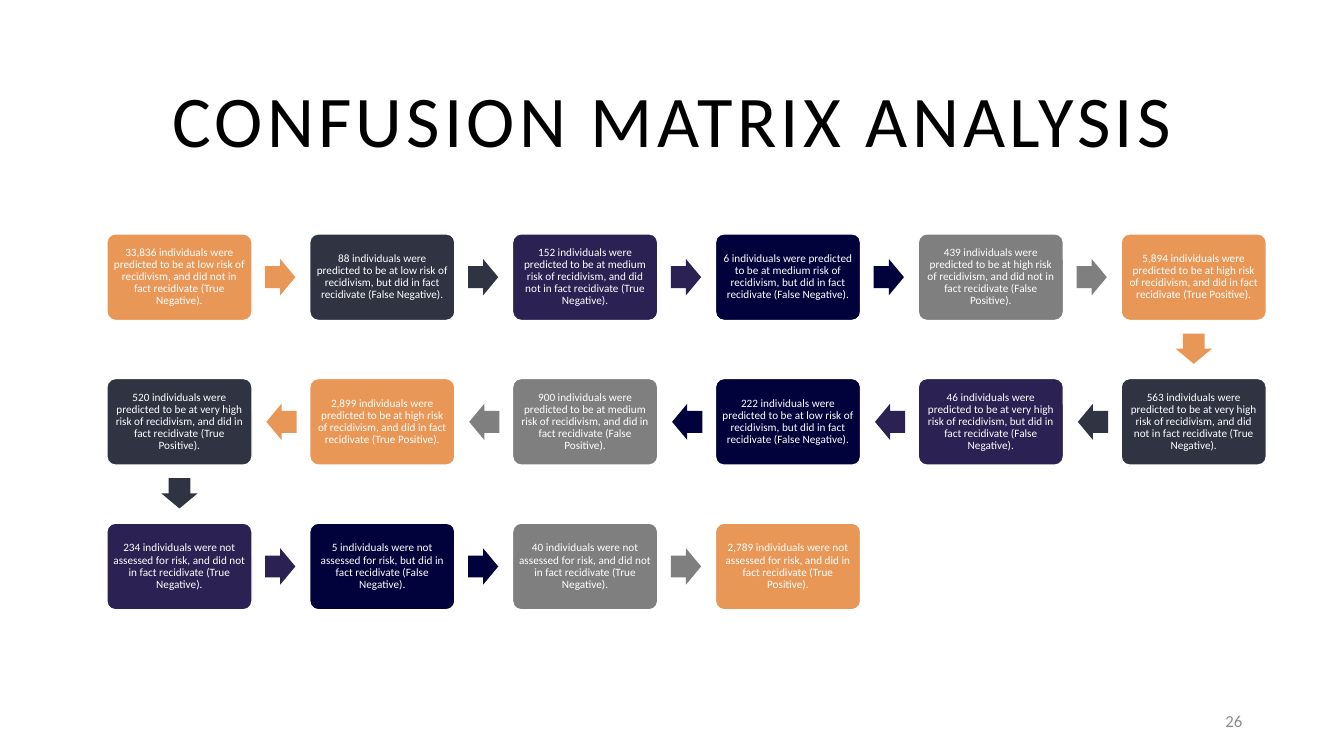
import pptx
import pptx.util
import pptx.dml.color
import pptx.enum.shapes
import pptx.enum.text

Inches = pptx.util.Inches
Pt = pptx.util.Pt
ALIGN = pptx.enum.text.PP_ALIGN
SHAPE = pptx.enum.shapes.MSO_SHAPE

TITLE = "CONFUSION MATRIX ANALYSIS"
PAGE_NUMBER = "26"
FINDINGS = [
    "33,836 individuals were predicted to be at low risk of recidivism, and did not in fact recidivate (True Negative).",
    "88 individuals were predicted to be at low risk of recidivism, but did in fact recidivate (False Negative).",
    "152 individuals were predicted to be at medium risk of recidivism, and did not in fact recidivate (True Negative).",
    "6 individuals were predicted to be at medium risk of recidivism, but did in fact recidivate (False Negative).",
    "439 individuals were predicted to be at high risk of recidivism, and did not in fact recidivate (False Positive).",
    "5,894 individuals were predicted to be at high risk of recidivism, and did in fact recidivate (True Positive).",
    "563 individuals were predicted to be at very high risk of recidivism, and did not in fact recidivate (True Negative).",
    "46 individuals were predicted to be at very high risk of recidivism, but did in fact recidivate (False Negative).",
    "222 individuals were predicted to be at low risk of recidivism, but did in fact recidivate (False Negative).",
    "900 individuals were predicted to be at medium risk of recidivism, and did in fact recidivate (False Positive).",
    "2,899 individuals were predicted to be at high risk of recidivism, and did in fact recidivate (True Positive).",
    "520 individuals were predicted to be at very high risk of recidivism, and did in fact recidivate (True Positive).",
    "234 individuals were not assessed for risk, and did not in fact recidivate (True Negative).",
    "5 individuals were not assessed for risk, but did in fact recidivate (False Negative).",
    "40 individuals were not assessed for risk, and did not in fact recidivate (True Negative).",
    "2,789 individuals were not assessed for risk, and did in fact recidivate (True Positive).",
]
THEME = {
    "font": "Calibri",
    "title_size": 52,
    "number_size": 12,
    "card_size": 8,
    "title": "000000",
    "number": "8C8C8C",
    "light": "FFFFFF",
    "cards": ["E99757", "2F3342", "2C2153", "01023B", "7F7F7F"],
}

COLUMNS = 6
FIRST_LEFT, LAST_LEFT = 1.06, 11.12
FIRST_TOP, LAST_TOP = 2.32, 5.19
CARD_WIDTH, CARD_HEIGHT = 1.44, 0.86
ARROW_WIDTH, ARROW_HEIGHT = 0.3, 0.36
ARROW_REACH, ARROW_DROP = 1.0, 0.71
CARD_INSET = 0.03


def rgb(value):
    return pptx.dml.color.RGBColor.from_string(value)


def write(shape, text, size, color, alignment, line_spacing=1.0, space_after=0):
    frame = shape.text_frame
    frame.word_wrap = True
    frame.vertical_anchor = pptx.enum.text.MSO_ANCHOR.MIDDLE
    paragraph = frame.paragraphs[0]
    paragraph.text = text
    paragraph.alignment = alignment
    paragraph.line_spacing = line_spacing
    paragraph.space_after = Pt(space_after)
    paragraph.font.name = THEME["font"]
    paragraph.font.size = Pt(size)
    paragraph.font.color.rgb = rgb(color)
    return paragraph


def add_filled(slide, kind, left, top, width, height, color, adjustments):
    shape = slide.shapes.add_shape(kind, Inches(left), Inches(top), Inches(width), Inches(height))
    for index, value in enumerate(adjustments):
        shape.adjustments[index] = value
    shape.shadow.inherit = False
    shape.fill.solid()
    shape.fill.fore_color.rgb = rgb(color)
    shape.line.fill.background()
    return shape


def card_position(index):
    row, step = divmod(index, COLUMNS)
    column = step if row % 2 == 0 else COLUMNS - 1 - step
    rows = -(-len(FINDINGS) // COLUMNS)
    left = FIRST_LEFT + column * (LAST_LEFT - FIRST_LEFT) / (COLUMNS - 1)
    top = FIRST_TOP + row * (LAST_TOP - FIRST_TOP) / (rows - 1)
    return left, top


def add_card(slide, index, text, color):
    left, top = card_position(index)
    card = add_filled(slide, SHAPE.ROUNDED_RECTANGLE, left, top, CARD_WIDTH, CARD_HEIGHT, color, [0.1])
    card.line.color.rgb = rgb(THEME["light"])
    card.line.width = Pt(1)
    frame = card.text_frame
    frame.margin_left = frame.margin_right = Inches(CARD_INSET)
    frame.margin_top = frame.margin_bottom = Inches(CARD_INSET)
    write(card, text, THEME["card_size"], THEME["light"], ALIGN.CENTER, 0.9, 2.8)


def add_arrow(slide, index, color):
    row, step = divmod(index, COLUMNS)
    if step == COLUMNS - 1:
        across, down, rotation = 0, ARROW_DROP, 90
    elif row % 2 == 0:
        across, down, rotation = ARROW_REACH, 0, 0
    else:
        across, down, rotation = -ARROW_REACH, 0, 180
    card_left, card_top = card_position(index)
    left = card_left + (CARD_WIDTH - ARROW_WIDTH) / 2 + across
    top = card_top + (CARD_HEIGHT - ARROW_HEIGHT) / 2 + down
    arrow = add_filled(slide, SHAPE.RIGHT_ARROW, left, top, ARROW_WIDTH, ARROW_HEIGHT, color, [0.6, 0.5])
    arrow.rotation = rotation


def main():
    presentation = pptx.Presentation()
    presentation.slide_width = Inches(13.33)
    presentation.slide_height = Inches(7.5)
    slide = presentation.slides.add_slide(presentation.slide_layouts[6])

    title = slide.shapes.add_textbox(Inches(0.92), Inches(0.61), Inches(11.5), Inches(1.24))
    paragraph = write(title, TITLE, THEME["title_size"], THEME["title"], ALIGN.CENTER, 0.9)
    paragraph.runs[0].font._element.set("spc", "300")

    number = slide.shapes.add_textbox(Inches(9.42), Inches(6.95), Inches(3), Inches(0.4))
    write(number, PAGE_NUMBER, THEME["number_size"], THEME["number"], ALIGN.RIGHT, space_after=6)

    for index, text in enumerate(FINDINGS):
        color = THEME["cards"][index % len(THEME["cards"])]
        add_card(slide, index, text, color)
        if index < len(FINDINGS) - 1:
            add_arrow(slide, index, color)

    presentation.save("out.pptx")


if __name__ == "__main__":
    main()
